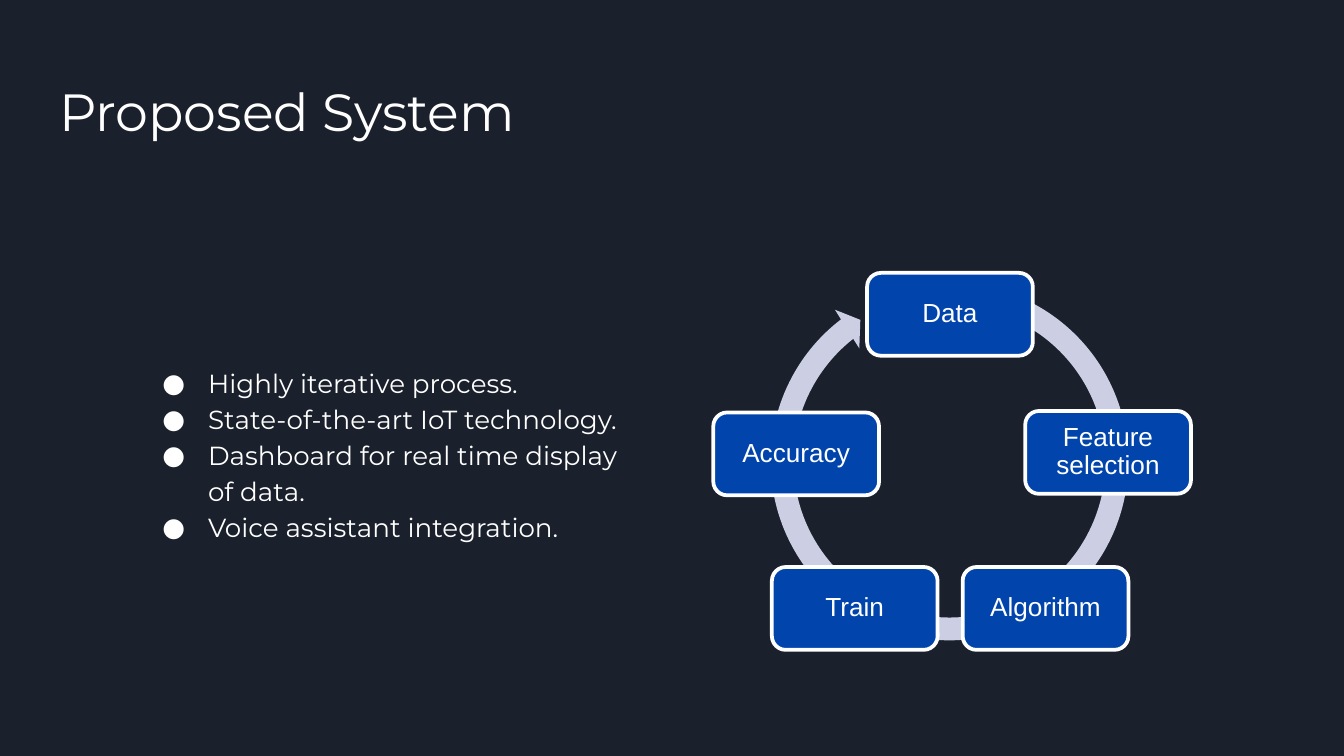
from dataclasses import dataclass

from lxml.etree import SubElement
from pptx import Presentation
from pptx.dml.color import RGBColor
from pptx.enum.shapes import MSO_SHAPE
from pptx.enum.text import MSO_ANCHOR, MSO_AUTO_SIZE, PP_ALIGN
from pptx.oxml.ns import qn
from pptx.util import Pt


@dataclass(frozen=True)
class Theme:
    """Colours, fonts and type sizes of the deck."""

    back: str = "1B212C"
    text: str = "FFFFFF"
    node: str = "0145AC"
    ring: str = "CCCFE3"
    main: str = "Montserrat"
    label: str = "Arial"
    large: int = 28
    small: int = 14


class Deck:
    """Draws elements on the current slide in one style."""

    def __init__(self, theme):
        """Open a 16:9 deck with one title-only slide."""
        self.theme = theme
        self.file = Presentation()
        self.file.slide_width, self.file.slide_height = Pt(720), Pt(405)
        self.slide = self.file.slides.add_slide(self.file.slide_layouts[5])
        self.paint(self.slide.background.fill, theme.back)

    def paint(self, fill, color):
        """Make a fill solid."""
        fill.solid()
        fill.fore_color.rgb = RGBColor.from_string(color)

    def frame(self, shape, inset, anchor):
        """Set wrapping, insets and anchor, and return the text frame."""
        frame = shape.text_frame
        frame.word_wrap = True
        frame.auto_size = MSO_AUTO_SIZE.NONE
        frame.vertical_anchor = anchor
        frame.margin_left = frame.margin_right = Pt(inset)
        frame.margin_top = frame.margin_bottom = Pt(inset)
        return frame

    def style(self, para, name, size, align=PP_ALIGN.LEFT):
        """Set the font and alignment of a paragraph."""
        para.alignment = align
        para.font.name = name
        para.font.size = Pt(size)
        para.font.color.rgb = RGBColor.from_string(self.theme.text)

    def title(self, text, box):
        """Fill and place the title."""
        shape = self.slide.shapes.title
        shape.left, shape.top, shape.width, shape.height = map(Pt, box)
        frame = self.frame(shape, 7.2, MSO_ANCHOR.TOP)
        frame.text = text
        self.style(frame.paragraphs[0], self.theme.main, self.theme.large)

    def bullets(self, lines, box):
        """Add a bulleted list."""
        shape = self.slide.shapes.add_textbox(*map(Pt, box))
        frame = self.frame(shape, 7.2, MSO_ANCHOR.TOP)
        frame.text = "\n".join(lines)
        for para in frame.paragraphs:
            para.line_spacing = 1.15
            props = para._p.get_or_add_pPr()
            props.set("marL", str(Pt(36)))
            props.set("indent", str(Pt(-24.5)))
            color = SubElement(props, qn("a:buClr"))
            SubElement(color, qn("a:srgbClr"), val=self.theme.text)
            SubElement(props, qn("a:buFont"), typeface=self.theme.main)
            SubElement(props, qn("a:buChar"), char="●")
            self.style(para, self.theme.main, self.theme.small)

    def ring(self, group, box, bends):
        """Add the circular arrow."""
        shape = group.shapes.add_shape(MSO_SHAPE.CIRCULAR_ARROW, *map(Pt, box))
        shape.shadow.inherit = False
        for spot, bend in enumerate(bends):
            shape.adjustments[spot] = bend
        self.paint(shape.fill, self.theme.ring)
        shape.line.fill.background()

    def node(self, group, text, box):
        """Add a labelled step of the cycle."""
        shape = group.shapes.add_shape(MSO_SHAPE.ROUNDED_RECTANGLE, *map(Pt, box))
        shape.shadow.inherit = False
        self.paint(shape.fill, self.theme.node)
        self.paint(shape.line.fill, self.theme.text)
        shape.line.width = Pt(2)
        frame = self.frame(shape, 6.3, MSO_ANCHOR.MIDDLE)
        frame.text = text
        para = frame.paragraphs[0]
        para.line_spacing = 0.9
        self.style(para, self.theme.label, self.theme.small, PP_ALIGN.CENTER)

    def cycle(self, box, bends, steps, size):
        """Add the ring and its steps as one group."""
        group = self.slide.shapes.add_group_shape()
        self.ring(group, box, bends)
        for text, left, top in steps:
            self.node(group, text, (left, top, *size))


def main():
    """Build and save the slide."""
    deck = Deck(Theme())
    deck.title("Proposed System", (24.5, 35.3, 671, 45.4))
    deck.cycle(
        (406.8, 145.4, 203.8, 203.8),
        (0.06, 3.31, 139.38, 172.88, 0.06),
        (
            ("Data", 464.5, 146.2),
            ("Feature selection", 549.2, 220.2),
            ("Algorithm", 515.7, 303.8),
            ("Train", 413.5, 303.8),
            ("Accuracy", 382.1, 221),
        ),
        (88.8, 44.4),
    )
    deck.bullets(
        (
            "Highly iterative process.",
            "State-of-the-art IoT technology.",
            "Dashboard for real time display of data.",
            "Voice assistant integration.",
        ),
        (68.4, 187.2, 285.1, 137.5),
    )
    deck.file.save("out.pptx")


if __name__ == "__main__":
    main()
